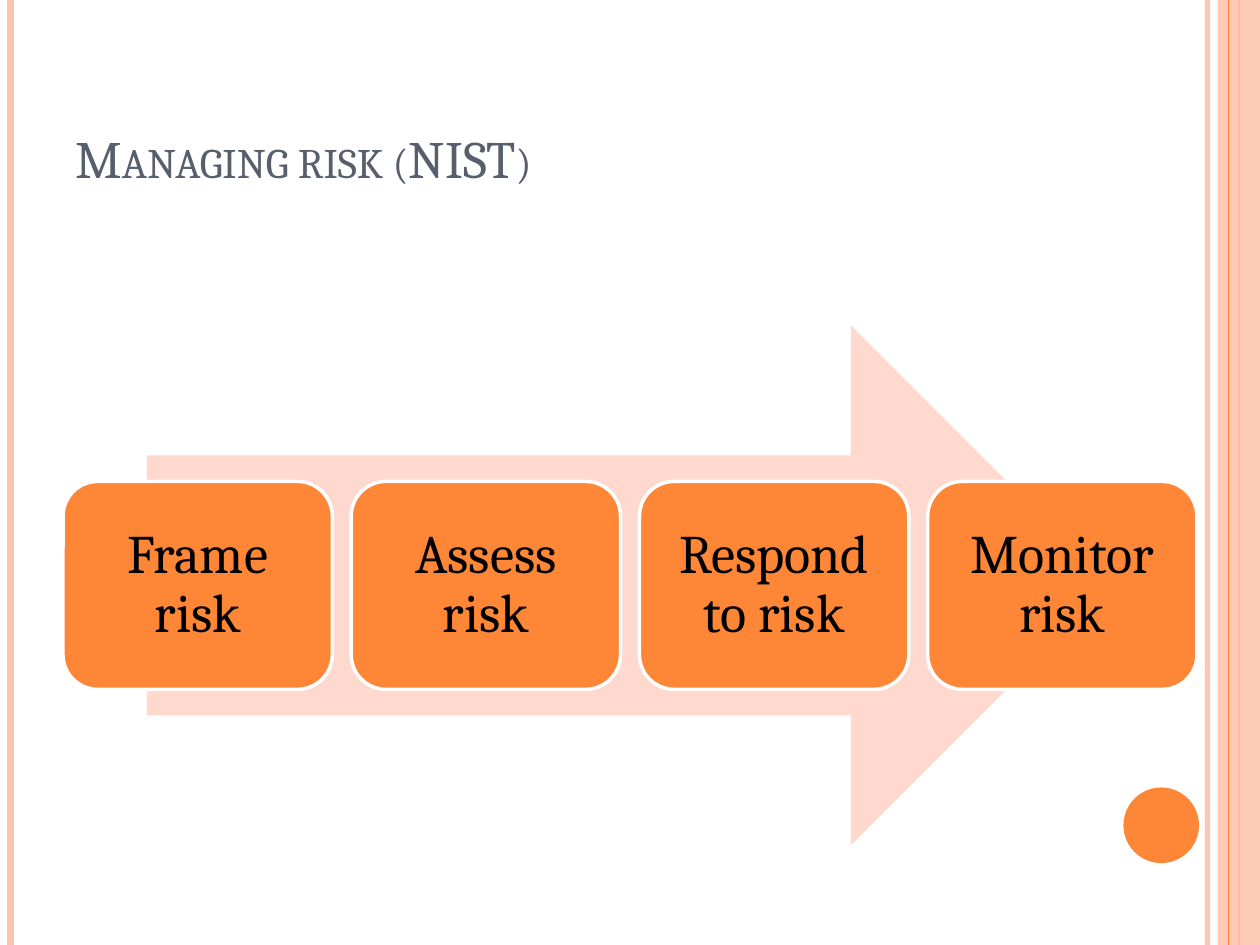
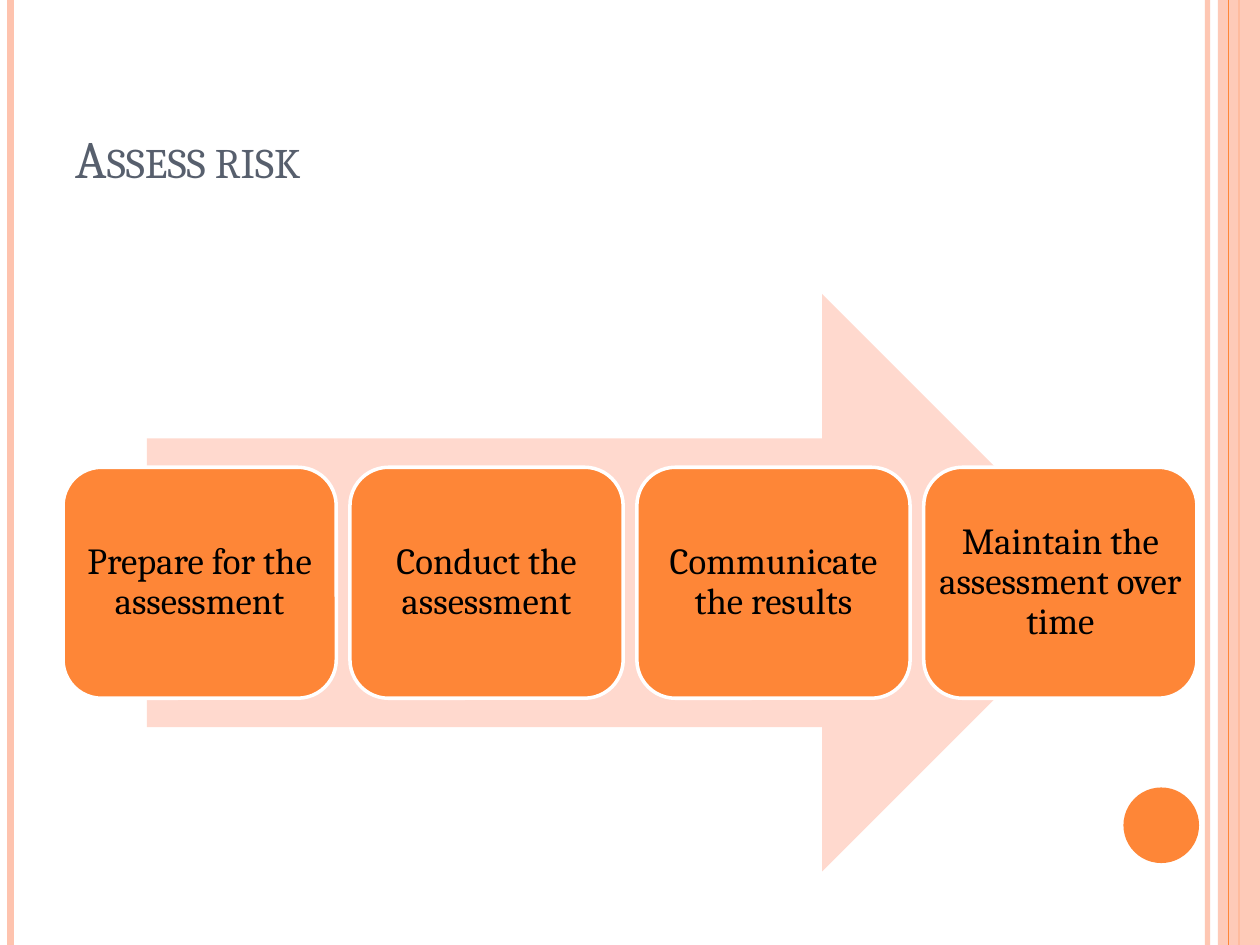
import lxml.etree
import pptx
import pptx.dml.color
import pptx.enum.shapes
import pptx.enum.text
import pptx.oxml.ns
import pptx.util

RGB = pptx.dml.color.RGBColor
ORANGE = RGB(0xFE, 0x86, 0x37)
PEACH = RGB(0xFE, 0xC3, 0xAE)
BLUSH = RGB(0xFF, 0xD9, 0xCE)
SLATE = RGB(0x57, 0x5F, 0x6D)
BLACK = RGB(0, 0, 0)
WHITE = RGB(0xFF, 0xFF, 0xFF)

SHAPE = pptx.enum.shapes.MSO_SHAPE
ANCHOR = pptx.enum.text.MSO_ANCHOR
ALIGN = pptx.enum.text.PP_ALIGN
COLUMNS, ROWS = 120, 90


class Deck:
    """Draws styled slides on a grid of 120 columns by 90 rows."""

    font = "Cambria"

    def __init__(self):
        self.file = pptx.Presentation()
        self.file.slide_width = pptx.util.Inches(10)
        self.file.slide_height = pptx.util.Inches(7.5)
        self.slide = None

    def place(self, left, top, width, height):
        across = self.file.slide_width / COLUMNS
        down = self.file.slide_height / ROWS
        return [round(n) for n in (left * across, top * down, width * across, height * down)]

    def set_alpha(self, part, percent):
        color = part.find(".//" + pptx.oxml.ns.qn("a:srgbClr"))
        lxml.etree.SubElement(color, pptx.oxml.ns.qn("a:alpha"), val=str(percent * 1000))

    def rule(self, column, color, weight, alpha=100):
        x, top, _, bottom = self.place(column, 0, 0, ROWS)
        rule = self.slide.shapes.add_connector(
            pptx.enum.shapes.MSO_CONNECTOR.STRAIGHT, x, top, x, bottom)
        rule.line.color.rgb = color
        rule.line.width = pptx.util.Pt(weight)
        properties = rule._element.spPr
        if alpha < 100:
            self.set_alpha(properties, alpha)
        lxml.etree.SubElement(properties, pptx.oxml.ns.qn("a:effectLst"))

    def shape(self, preset, box, fill, outline=None, alpha=100):
        shape = self.slide.shapes.add_shape(preset, *self.place(*box))
        shape.shadow.inherit = False
        shape.fill.solid()
        shape.fill.fore_color.rgb = fill
        if alpha < 100:
            self.set_alpha(shape._element.spPr, alpha)
        if outline is None:
            shape.line.fill.background()
        else:
            shape.line.color.rgb = outline
            shape.line.width = pptx.util.Pt(2)
        return shape

    def add_text(self, frame, text, size, color, anchor, align):
        frame.word_wrap = True
        frame.vertical_anchor = anchor
        paragraph = frame.paragraphs[0]
        paragraph.alignment = align
        run = paragraph.add_run()
        run.text = text
        run.font.name = self.font
        run.font.size = pptx.util.Pt(size)
        run.font.color.rgb = color
        return paragraph, run

    def title(self, text):
        box = self.slide.shapes.add_textbox(*self.place(6, 3.6, 98, 15))
        _, run = self.add_text(box.text_frame, text, 30, SLATE, ANCHOR.BOTTOM, ALIGN.LEFT)
        run.font._element.set("cap", "small")

    def new_slide(self, title):
        self.slide = self.file.slides.add_slide(self.file.slide_layouts[6])
        self.slide.background.fill.solid()
        self.slide.background.fill.fore_color.rgb = WHITE
        self.rule(115, PEACH, 3, 93)
        self.rule(1, PEACH, 4.5)
        self.rule(118, ORANGE, 1.5)
        self.shape(SHAPE.RECTANGLE, (116, 0, 4, ROWS), PEACH, alpha=87)
        self.rule(117, ORANGE, 0.75)
        self.shape(SHAPE.OVAL, (107, 75, 7.2, 7.2), ORANGE)
        self.title(title)

    def step(self, text, box, size, inset):
        card = self.shape(SHAPE.ROUNDED_RECTANGLE, box, ORANGE, WHITE)
        frame = card.text_frame
        frame.margin_left = frame.margin_right = pptx.util.Inches(inset)
        frame.margin_top = frame.margin_bottom = pptx.util.Inches(inset)
        paragraph, _ = self.add_text(frame, text, size, BLACK, ANCHOR.MIDDLE, ALIGN.CENTER)
        paragraph.line_spacing = 0.9

    def process(self, steps, top, height, gap, size, inset):
        self.shape(SHAPE.RIGHT_ARROW, (14, top, 91.8, height), BLUSH)
        left, span = 6, 108
        width = (span - gap * (len(steps) - 1)) / len(steps)
        for index, text in enumerate(steps):
            box = (left + index * (width + gap), top + 0.3 * height, width, 0.4 * height)
            self.step(text, box, size, inset)


def main():
    deck = Deck()
    deck.new_slide("Managing risk (NIST)")
    deck.process(["Frame risk", "Assess risk", "Respond to risk", "Monitor risk"],
                 top=31, height=49.5, gap=1.8, size=31, inset=0.05)
    deck.new_slide("Assess risk")
    deck.process(["Prepare for the assessment", "Conduct the assessment",
                  "Communicate the results", "Maintain the assessment over time"],
                 top=28, height=55, gap=1.3, size=21, inset=0)
    deck.file.save("out.pptx")


if __name__ == "__main__":
    main()
